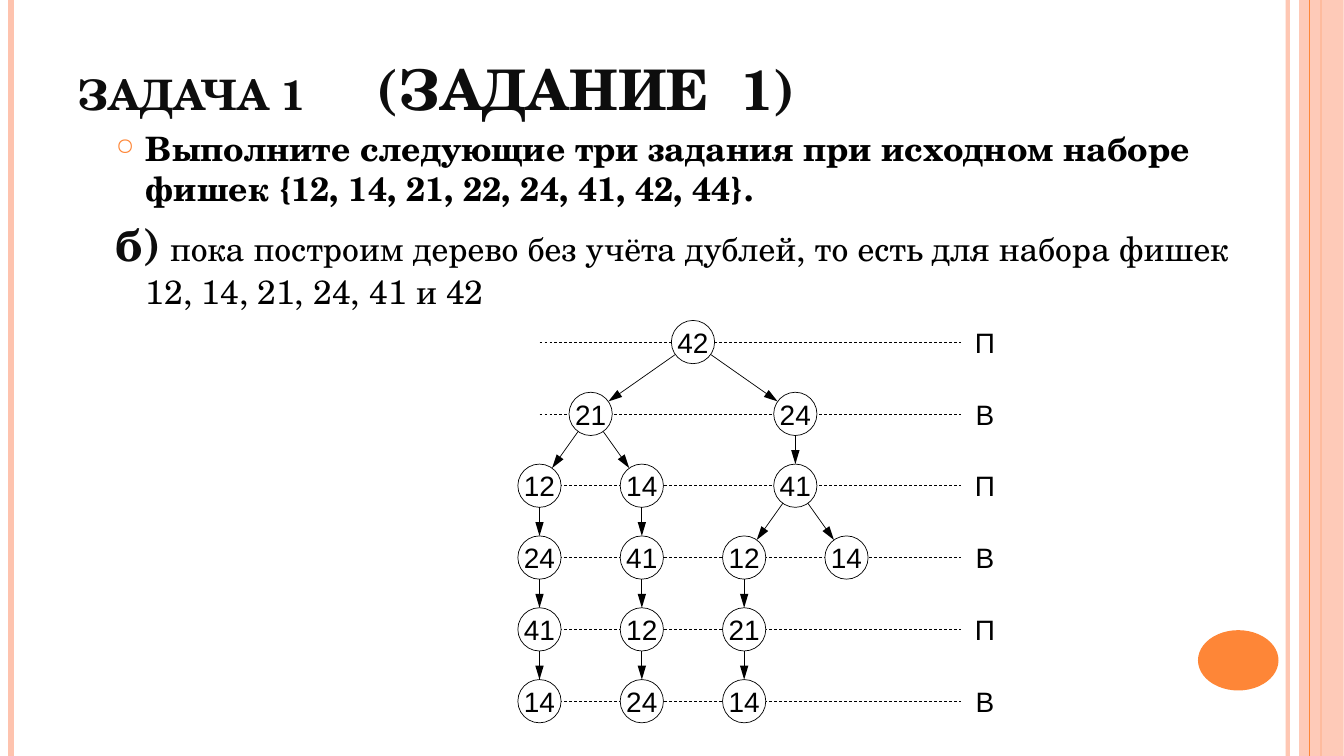
"""Draw the slide with the game tree for task 1."""
from math import hypot

from pptx import Presentation
from pptx.dml.color import RGBColor
from pptx.enum.dml import MSO_LINE
from pptx.enum.shapes import MSO_CONNECTOR, MSO_SHAPE
from pptx.enum.text import MSO_ANCHOR, PP_ALIGN
from pptx.oxml.ns import qn
from pptx.util import Cm, Pt
from lxml.etree import SubElement

SERIF, SANS = "TeX Gyre Schola", "Arial"
INK, DARK, WHITE = "000000", "0D0D0D", "FFFFFF"
PINK, ORANGE = "FEC3AE", "FE8637"
WIDE, HIGH = 33.88, 19.05

TITLE = [("ЗАДАЧА 1\t", 30, DARK, True), ("(ЗАДАНИЕ\t1)", 40, DARK, True)]
TASK = [("Выполните следующие три задания при исходном наборе "
         "фишек {12, 14, 21, 22, 24, 41, 42, 44}.", 24, INK, True)]
PLAN = [("б)", 32, DARK, True), (" ", 24, DARK, False),
        ("пока построим дерево без учёта дублей, то есть для набора "
         "фишек 12, 14, 21, 24, 41 и 42", 24, INK, False)]
STRIPES = [(32.46, PINK, 3, 93), (0.28, PINK, 4.5, 100), (33.3, ORANGE, 1.5, 100)]
EDGE = (33.02, ORANGE, 0.75, 100)
TURNS = "ПВПВПВ"
# Each level lists column, chip and the column of the parent.
LEVELS = [
    [(3, "42", None)],
    [(1, "21", 3), (5, "24", 3)],
    [(0, "12", 1), (2, "14", 1), (5, "41", 5)],
    [(0, "24", 0), (2, "41", 2), (4, "12", 5), (6, "14", 5)],
    [(0, "41", 0), (2, "12", 2), (4, "21", 4)],
    [(0, "14", 0), (2, "24", 2), (4, "14", 4)],
]
LEFT, TOP, STEP, DROP, SIZE = 13.6, 8.62, 1.29, 1.81, 1.09
END, SIGN = 24.23, 24.83

deck = Presentation()
deck.slide_width, deck.slide_height = Cm(WIDE), Cm(HIGH)
slide = deck.slides.add_slide(deck.slide_layouts[6])
shapes = slide.shapes


def color(code):
    return RGBColor.from_string(code)


def fade(shape, alpha):
    if alpha < 100:
        tone = next(shape.element.iter(qn("a:srgbClr")))
        SubElement(tone, qn("a:alpha"), val=str(alpha * 1000))


def rule(x1, y1, x2, y2, tone=INK, width=0.5):
    line = shapes.add_connector(MSO_CONNECTOR.STRAIGHT, Cm(x1), Cm(y1), Cm(x2), Cm(y2))
    line.line.color.rgb = color(tone)
    line.line.width = Pt(width)
    SubElement(line.element.spPr, qn("a:effectLst"))
    return line


def stripe(x, tone, width, alpha):
    fade(rule(x, 0, x, HIGH, tone, width), alpha)


def block(kind, x, y, w, h, tone, edge=None):
    shape = shapes.add_shape(kind, Cm(x), Cm(y), Cm(w), Cm(h))
    shape.shadow.inherit = False
    shape.fill.solid()
    shape.fill.fore_color.rgb = color(tone)
    if edge:
        shape.line.color.rgb = color(edge)
        shape.line.width = Pt(0.5)
    else:
        shape.line.fill.background()
    return shape


def write(para, runs, face):
    for text, size, tone, bold in runs:
        run = para.add_run()
        run.text = text
        font = run.font
        font.name, font.size, font.bold = face, Pt(size), bold
        font.color.rgb = color(tone)


def textbox(x, y, w, h):
    frame = shapes.add_textbox(Cm(x), Cm(y), Cm(w), Cm(h)).text_frame
    frame.word_wrap = True
    return frame


def label(frame, text):
    frame.word_wrap = False
    frame.margin_left = frame.margin_right = 0
    frame.vertical_anchor = MSO_ANCHOR.MIDDLE
    para = frame.paragraphs[0]
    para.alignment = PP_ALIGN.CENTER
    write(para, [(text, 20, INK, False)], SANS)


def spot(col, row):
    return LEFT + STEP * col, TOP + DROP * row


def arrow(start, end):
    (x1, y1), (x2, y2) = start, end
    part = SIZE / 2 / hypot(x2 - x1, y2 - y1)
    dx, dy = (x2 - x1) * part, (y2 - y1) * part
    line = rule(x1 + dx, y1 + dy, x2 - dx, y2 - dy)
    SubElement(line.line._get_or_add_ln(), qn("a:tailEnd"),
               type="triangle", w="med", len="lg")


def frame_slide():
    for item in STRIPES:
        stripe(*item)
    fade(block(MSO_SHAPE.RECTANGLE, 32.75, 0, 1.12, HIGH, PINK), 87)
    stripe(*EDGE)
    block(MSO_SHAPE.OVAL, 30.2, 15.88, 2.03, 1.52, ORANGE)


def heading():
    frame = textbox(1.7, 0, 27.66, 3.18)
    frame.vertical_anchor = MSO_ANCHOR.BOTTOM
    para = frame.paragraphs[0]
    tabs = SubElement(para._p.get_or_add_pPr(), qn("a:tabLst"))
    for stop in (7.55, 16.75):
        SubElement(tabs, qn("a:tab"), pos=str(Cm(stop)), algn="l")
    write(para, TITLE, SERIF)


def body():
    frame = textbox(2.67, 3.1, 30.18, 15.14)
    frame.margin_right = Cm(1.4)
    task, plan = frame.paragraphs[0], frame.add_paragraph()
    for para in (task, plan):
        props = para._p.get_or_add_pPr()
        props.set("marL", str(Cm(0.76)))
        props.set("indent", str(Cm(-0.76)))
    props = task._p.get_or_add_pPr()
    tone = SubElement(props, qn("a:buClr"))
    SubElement(tone, qn("a:srgbClr"), val=ORANGE)
    SubElement(props, qn("a:buSzPct"), val="70000")
    SubElement(props, qn("a:buChar"), char="○")
    plan.space_before = Pt(6)
    write(task, TASK, SERIF)
    write(plan, PLAN, SERIF)


def tree():
    for row, turn in enumerate(TURNS):
        x, y = spot(0, row)
        rule(x, y, END, y).line.dash_style = MSO_LINE.DASH
        label(textbox(SIGN - SIZE / 2, y - SIZE / 2, SIZE, SIZE), turn)
    for row, level in enumerate(LEVELS):
        for col, chip, root in level:
            x, y = spot(col, row)
            node = block(MSO_SHAPE.OVAL, x - SIZE / 2, y - SIZE / 2, SIZE, SIZE, WHITE, INK)
            label(node.text_frame, chip)
            if root is not None:
                arrow(spot(root, row - 1), (x, y))


def main():
    frame_slide()
    heading()
    body()
    tree()
    deck.save("out.pptx")


if __name__ == "__main__":
    main()
